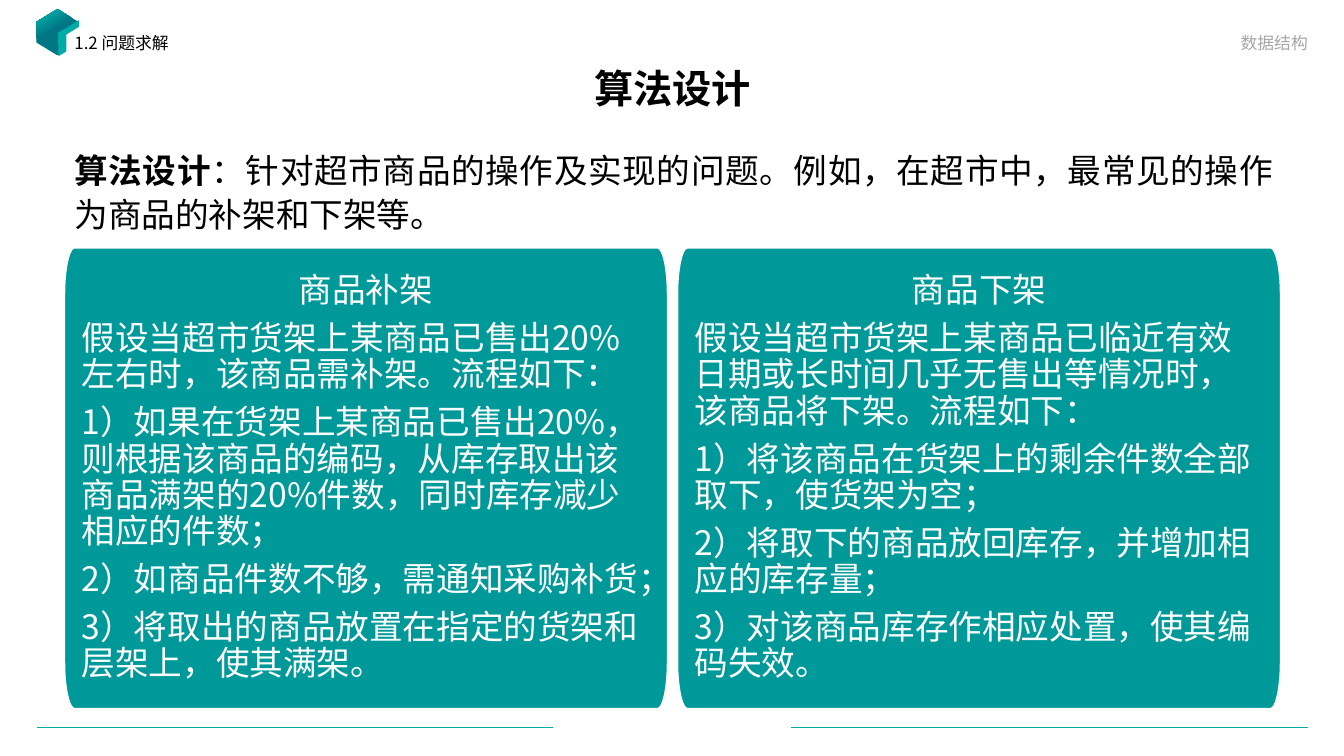
import math
from dataclasses import dataclass

import pptx
import pptx.dml.color
import pptx.enum.lang
import pptx.enum.shapes
import pptx.enum.text
import pptx.oxml
import pptx.oxml.ns
import pptx.util

PX = 9144  # EMU per px, 100 px to the inch
FONT = "Noto Sans CJK SC"
TEAL, DARK_TEAL, CARD_TEAL = "00ABA5", "007684", "009999"
BLACK, GREY, WHITE = "000000", "A6A6A6", "FFFFFF"
ALIGN = pptx.enum.text.PP_ALIGN
ANCHOR = pptx.enum.text.MSO_ANCHOR
PRESET = pptx.enum.shapes.MSO_SHAPE


@dataclass
class Box:
    left: int
    top: int
    width: int
    height: int

    def emu(self) -> list[int]:
        return [side * PX for side in (self.left, self.top, self.width, self.height)]


@dataclass
class Card:
    left: int
    heading: str
    steps: list[str]


@dataclass
class Face:
    box: Box
    color: str


CARD_TOP, CARD_WIDTH, CARD_HEIGHT = 246, 598, 457
CORNER_X, CORNER_Y, CORNER_STEPS = 10, 46, 12

CARDS = [
    Card(64, "商品补架", [
        "假设当超市货架上某商品已售出20%左右时，该商品需补架。流程如下：",
        "1）如果在货架上某商品已售出20%，则根据该商品的编码，从库存取出该商品满架的20%件数，"
        "同时库存减少相应的件数；",
        "2）如商品件数不够，需通知采购补货；",
        "3）将取出的商品放置在指定的货架和层架上，使其满架。",
    ]),
    Card(672, "商品下架", [
        "假设当超市货架上某商品已临近有效日期或长时间几乎无售出等情况时，该商品将下架。流程如下：",
        "1）将该商品在货架上的剩余件数全部取下，使货架为空；",
        "2）将取下的商品放回库存，并增加相应的库存量；",
        "3）对该商品库存作相应处置，使其编码失效。",
    ]),
]
CUBE_FACES = [Face(Box(50, 28, 36, 20), TEAL), Face(Box(58, 30, 36, 20), WHITE)]
FOOTER_LINES = [(548, 37), (1297, 785)]
FOOTER_Y = 722


def rgb(color: str) -> pptx.dml.color.RGBColor:
    return pptx.dml.color.RGBColor.from_string(color)


def write(paragraph, text: str, *, size: int, color: str = BLACK, bold: bool = False,
          align=ALIGN.LEFT, spacing: float = 0.9, after: float = 0) -> None:
    """Add one run and set the format of its paragraph."""
    paragraph.alignment = align
    paragraph.line_spacing = spacing
    paragraph.space_before = pptx.util.Pt(0)
    paragraph.space_after = pptx.util.Pt(after)
    run = paragraph.add_run()
    run.text = text
    run.font.size = pptx.util.Pt(size)
    run.font.bold = bold
    run.font.color.rgb = rgb(color)
    run.font.name = FONT
    run.font.language_id = pptx.enum.lang.MSO_LANGUAGE_ID.SIMPLIFIED_CHINESE
    east_asian = pptx.oxml.parse_xml(
        f'<a:ea {pptx.oxml.ns.nsdecls("a")} typeface="{FONT}"/>')
    run.font._element.find(pptx.oxml.ns.qn("a:latin")).addnext(east_asian)


def add_text_area(slide, box: Box, anchor=ANCHOR.TOP):
    """Return the first paragraph of a new wrapping text box."""
    frame = slide.shapes.add_textbox(*box.emu()).text_frame
    frame.word_wrap = True
    frame.vertical_anchor = anchor
    return frame.paragraphs[0]


def add_footer_line(slide, start: int, end: int) -> None:
    rule = slide.shapes.add_connector(
        pptx.enum.shapes.MSO_CONNECTOR.STRAIGHT,
        start * PX, FOOTER_Y * PX, end * PX, FOOTER_Y * PX)
    rule.line.color.rgb = rgb(TEAL)
    rule.line.width = pptx.util.Pt(0.5)
    rule._element.spPr.append(
        pptx.oxml.parse_xml(f'<a:effectLst {pptx.oxml.ns.nsdecls("a")}/>'))


def add_cube_part(slide, preset, box: Box, rotation: float, adjustments: list[float]):
    part = slide.shapes.add_shape(preset, *box.emu())
    part.shadow.inherit = False
    part.line.fill.background()
    part.rotation = rotation
    for index, value in enumerate(adjustments):
        part.adjustments[index] = value
    return part


def add_cube(slide) -> None:
    cube = add_cube_part(slide, PRESET.HEXAGON, Box(34, 11, 46, 42), 90, [0.305, 1.155])
    cube.fill.gradient()
    cube.fill.gradient_angle = 210
    for stop, color, position in zip(
            cube.fill.gradient_stops, (DARK_TEAL, TEAL), (0.57, 0.87)):
        stop.color.rgb = rgb(color)
        stop.position = position
    for face in CUBE_FACES:
        side = add_cube_part(slide, PRESET.PARALLELOGRAM, face.box, 328.6, [0.61])
        side.fill.solid()
        side.fill.fore_color.rgb = rgb(face.color)


def card_outline(left: int) -> list[tuple[float, float]]:
    """Points of a rectangle with elliptical corners, clockwise from the left side."""
    near_x, far_x = left + CORNER_X, left + CARD_WIDTH - CORNER_X
    near_y, far_y = CARD_TOP + CORNER_Y, CARD_TOP + CARD_HEIGHT - CORNER_Y
    centres = [(near_x, near_y), (far_x, near_y), (far_x, far_y), (near_x, far_y)]
    points = []
    for corner, (x, y) in enumerate(centres):
        for step in range(CORNER_STEPS + 1):
            angle = math.pi + (corner + step / CORNER_STEPS) * math.pi / 2
            points.append(((x + CORNER_X * math.cos(angle)) * PX,
                           (y + CORNER_Y * math.sin(angle)) * PX))
    return points


def add_card(slide, card: Card) -> None:
    start, *rest = card_outline(card.left)
    builder = slide.shapes.build_freeform(*start)
    builder.add_line_segments(rest, close=True)
    panel = builder.convert_to_shape()
    panel.shadow.inherit = False
    panel.fill.solid()
    panel.fill.fore_color.rgb = rgb(CARD_TEAL)
    panel.line.color.rgb = rgb(WHITE)
    panel.line.width = pptx.util.Pt(1)

    frame = panel.text_frame
    frame.word_wrap = True
    frame.vertical_anchor = ANCHOR.MIDDLE
    frame.margin_left = frame.margin_right = 17 * PX
    frame.margin_top = frame.margin_bottom = 17 * PX
    write(frame.paragraphs[0], card.heading, size=24, color=WHITE,
          align=ALIGN.CENTER, after=8.4)
    for step in card.steps:
        write(frame.add_paragraph(), step, size=24, color=WHITE, after=8.4)


def main() -> None:
    deck = pptx.Presentation()
    deck.slide_width, deck.slide_height = 1333 * PX, 750 * PX
    slide = deck.slides.add_slide(deck.slide_layouts[6])

    # Footer lines and corner cube
    for start, end in FOOTER_LINES:
        add_footer_line(slide, start, end)
    add_cube(slide)

    # Title, section and course name
    write(add_text_area(slide, Box(92, 62, 1150, 57), ANCHOR.MIDDLE), "算法设计",
          size=28, bold=True, align=ALIGN.CENTER)
    write(add_text_area(slide, Box(64, 30, 532, 36)), "1.2 问题求解", size=12)
    write(add_text_area(slide, Box(743, 22, 564, 35), ANCHOR.BOTTOM), "数据结构",
          size=12, color=GREY, align=ALIGN.RIGHT, spacing=1.0)

    # Definition
    definition = add_text_area(slide, Box(64, 140, 1209, 553))
    write(definition, "算法设计", size=24, bold=True, align=ALIGN.JUSTIFY, spacing=1.1)
    write(definition, "：针对超市商品的操作及实现的问题。例如，在超市中，最常见的操作为商品的补架和下架等。",
          size=24, align=ALIGN.JUSTIFY, spacing=1.1)

    # Restocking and removal cards
    for card in CARDS:
        add_card(slide, card)

    deck.save("out.pptx")


if __name__ == "__main__":
    main()
